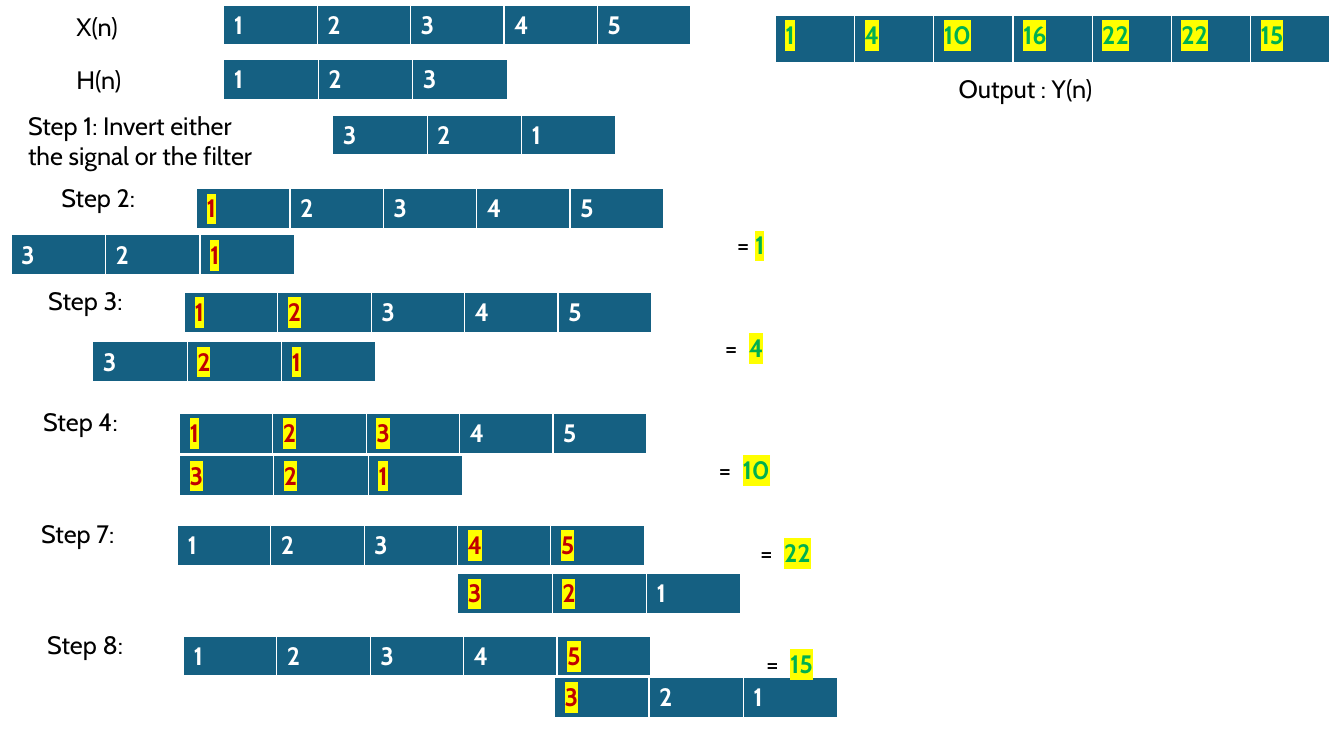
"""Build a slide that works through a discrete convolution step by step."""
from lxml.etree import SubElement
from pptx import Presentation
from pptx.dml.color import RGBColor as RGB
from pptx.enum.text import MSO_AUTO_SIZE as Auto
from pptx.oxml.ns import qn
from pptx.util import Pt

PX = 9144
FONT = "Cabin"
SIZE = 18
BLUE = RGB(0x15, 0x60, 0x82)
WHITE = RGB(0xFF, 0xFF, 0xFF)
BLACK = RGB(0x00, 0x00, 0x00)
RED = RGB(0xC0, 0x00, 0x00)
GREEN = RGB(0x00, 0xB0, 0x50)
GLOW = RGB(0xFF, 0xFF, 0x00)
EDGES = {"L": 1, "R": 1, "T": 1, "B": 3}

SIGNAL = [1, 2, 3, 4, 5]
FILTER = [1, 2, 3]
FLIPPED = FILTER[::-1]
SIGNAL_W, FILTER_W, OUTPUT_W = 463, 281, 550
ROW_H, OUTPUT_H = 41, 48
LABEL_H, STEP_W, SUM_W = 40, 290, 301

LABELS = [
    ("X(n)", 66, 6, 129, LABEL_H),
    ("H(n)", 66, 59, 96, LABEL_H),
    ("Step 1: Invert either the signal or the filter", 18, 104, 254, 71),
    ("Output : Y(n)", 941, 68, 464, LABEL_H),
]
STEPS = [
    {"no": 2, "label": (51, 176), "signal": (195, 187), "filter": (11, 233), "sum": (721, 223), "gap": 0},
    {"no": 3, "label": (38, 278), "signal": (183, 290), "filter": (92, 339), "sum": (709, 325), "gap": 2},
    {"no": 4, "label": (33, 398), "signal": (178, 410), "filter": (178, 452), "sum": (703, 446), "gap": 2},
    {"no": 7, "label": (31, 509), "signal": (176, 521), "filter": (454, 569), "sum": (744, 528), "gap": 2},
    {"no": 8, "label": (37, 619), "signal": (182, 631), "filter": (550, 672), "sum": (750, 638), "gap": 2},
]


def write(frame, text, color=BLACK, bold=False, glow=False, gap=0):
    """Add one run of text to the first paragraph of a frame."""
    run = frame.paragraphs[0].add_run()
    run.text = text
    font = run.font
    font.size, font.bold = Pt(SIZE), bold
    font.color.rgb = color
    props = run._r.get_or_add_rPr()
    if gap:
        props.set("spc", str(gap * 100))
    if glow:
        mark = SubElement(props, qn("a:highlight"))
        SubElement(mark, qn("a:srgbClr"), val=str(GLOW))
    font.name = FONT


def add_box(slide, left, top, width, height):
    """Add an empty wrapping text box and return its frame."""
    box = slide.shapes.add_textbox(left * PX, top * PX, width * PX, height * PX)
    frame = box.text_frame
    frame.word_wrap = True
    frame.auto_size = Auto.SHAPE_TO_FIT_TEXT
    return frame


def add_edges(cell):
    """Draw the white borders of a cell."""
    props = cell._tc.get_or_add_tcPr()
    for side, width in EDGES.items():
        line = SubElement(props, qn(f"a:ln{side}"), w=str(Pt(width)))
        fill = SubElement(line, qn("a:solidFill"))
        SubElement(fill, qn("a:srgbClr"), val=str(WHITE))


def add_row(slide, values, left, top, width, height=ROW_H, hot=(), hue=RED):
    """Add a one-row table whose hot cells are highlighted."""
    count = len(values)
    table = slide.shapes.add_table(
        1, count, left * PX, top * PX, width * PX, height * PX).table
    table.first_row = table.horz_banding = False
    for col, value in enumerate(values):
        table.columns[col].width = width * PX // count
        cell = table.cell(0, col)
        add_edges(cell)
        cell.fill.solid()
        cell.fill.fore_color.rgb = BLUE
        lit = col in hot
        write(cell.text_frame, str(value), color=hue if lit else WHITE, bold=True, glow=lit)


def pairs(shift):
    """List the overlapping signal and flipped-filter positions."""
    start = shift - len(FILTER) + 1
    return [(start + tap, tap) for tap in range(len(FILTER))
            if 0 <= start + tap < len(SIGNAL)]


def total(shift):
    """Return the output value at a shift."""
    return sum(SIGNAL[pos] * FLIPPED[tap] for pos, tap in pairs(shift))


def add_step(slide, step):
    """Add the label, both rows and the sum of one step."""
    shift = step["no"] - 2
    hot, taps = zip(*pairs(shift))
    write(add_box(slide, *step["label"], STEP_W, LABEL_H), f"Step {step['no']}:")
    add_row(slide, SIGNAL, *step["signal"], SIGNAL_W, hot=hot)
    add_row(slide, FLIPPED, *step["filter"], FILTER_W, hot=taps)
    frame = add_box(slide, *step["sum"], SUM_W, LABEL_H)
    write(frame, "= ", gap=step["gap"])
    write(frame, str(total(shift)), color=GREEN, bold=True, glow=True)


def main():
    deck = Presentation()
    deck.slide_width, deck.slide_height = 1333 * PX, 750 * PX
    slide = deck.slides.add_slide(deck.slide_layouts[6])
    for text, *place in LABELS:
        write(add_box(slide, *place), text)
    add_row(slide, SIGNAL, 222, 5, SIGNAL_W)
    add_row(slide, FILTER, 222, 59, FILTER_W)
    add_row(slide, FLIPPED, 330, 114, FILTER_W)
    output = [total(shift) for shift in range(len(SIGNAL) + len(FILTER) - 1)]
    add_row(slide, output, 769, 15, OUTPUT_W, OUTPUT_H, hot=range(len(output)), hue=GREEN)
    for step in STEPS:
        add_step(slide, step)
    deck.save("out.pptx")


if __name__ == "__main__":
    main()
